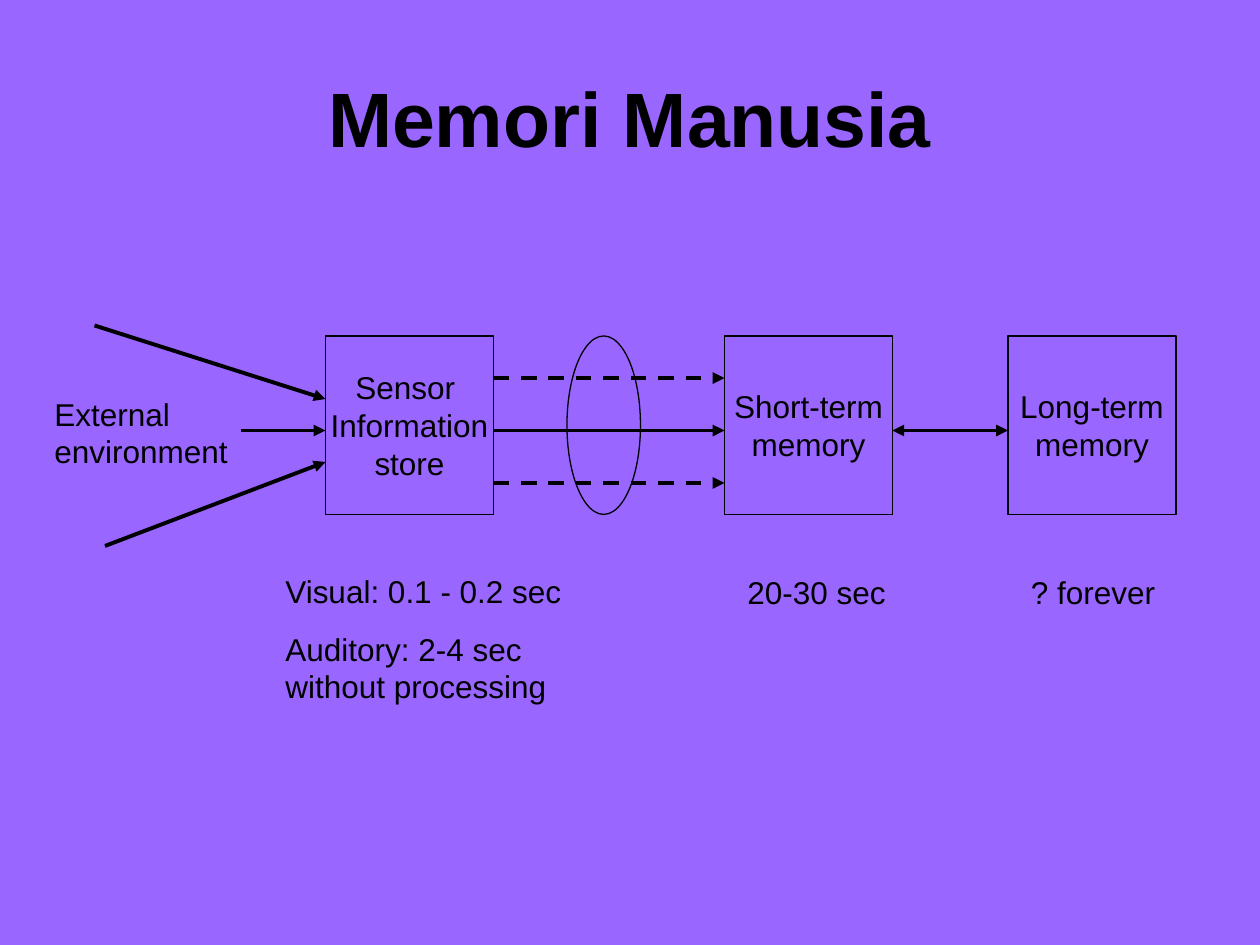
"""Build the human memory slide: three memory stores joined by arrows."""
from lxml.etree import SubElement
from pptx import Presentation
from pptx.dml.color import RGBColor
from pptx.enum.dml import MSO_LINE
from pptx.enum.shapes import MSO_CONNECTOR, MSO_SHAPE
from pptx.enum.text import MSO_ANCHOR, PP_ALIGN
from pptx.oxml.ns import qn
from pptx.util import Pt

BACKGROUND, INK = "9966FF", "000000"
TITLE = "Memori Manusia"
STORES = [
    (186, ["Sensor ", "Information", "store"]),
    (414, ["Short-term", "memory"]),
    (576, ["Long-term", "memory"]),
]
NOTES = [
    (24, 222, 114, 50, ["External environment"]),
    (156, 323.5, 174, 83.5, ["Visual: 0.1 - 0.2 sec", "Auditory: 2-4 sec without processing"]),
    (420, 324, 126, 29, ["20-30 sec"]),
    (582, 324, 102, 29, ["? forever"]),
]
STORE_TOP, STORE_WIDTH, STORE_HEIGHT = 192, 96, 102
FLOW_Y = 246
FILTER_LEFT, FILTER_WIDTH = 324, 42

sensor, short_term, long_term = (left for left, _ in STORES)
sensor_right, short_term_right = sensor + STORE_WIDTH, short_term + STORE_WIDTH
ARROWS = [
    ((54, 186), (sensor, 228), "solid", ["tail"]),
    ((138, FLOW_Y), (sensor, FLOW_Y), "solid", ["tail"]),
    ((60, 312), (sensor, 264), "solid", ["tail"]),
    ((sensor_right, FLOW_Y), (short_term, FLOW_Y), "solid", ["tail"]),
    ((sensor_right, FLOW_Y - 30), (short_term, FLOW_Y - 30), "dash", ["tail"]),
    ((sensor_right, FLOW_Y + 30), (short_term, FLOW_Y + 30), "dash", ["tail"]),
    ((short_term_right, FLOW_Y), (long_term, FLOW_Y), "solid", ["head", "tail"]),
]


def color(value):
    return RGBColor.from_string(value)


def write(frame, lines, size=18, bold=False, align=PP_ALIGN.LEFT,
          anchor=MSO_ANCHOR.TOP, before=0, wrap=True):
    frame.word_wrap = wrap
    frame.vertical_anchor = anchor
    for index, line in enumerate(lines):
        paragraph = frame.add_paragraph() if index else frame.paragraphs[0]
        paragraph.text = line
        paragraph.alignment = align
        paragraph.space_before = Pt(before)
        paragraph.font.name = "Arial"
        paragraph.font.size = Pt(size)
        paragraph.font.bold = bold
        paragraph.font.color.rgb = color(INK)


def add_outline(slide, preset, left, width):
    outline = slide.shapes.add_shape(
        preset, Pt(left), Pt(STORE_TOP), Pt(width), Pt(STORE_HEIGHT))
    outline.shadow.inherit = False
    outline.fill.background()
    outline.line.color.rgb = color(INK)
    outline.line.width = Pt(0.75)
    return outline


def add_text(slide, left, top, width, height, lines, **style):
    box = slide.shapes.add_textbox(Pt(left), Pt(top), Pt(width), Pt(height))
    write(box.text_frame, lines, **style)


def add_arrow(slide, start, end, dash, heads):
    arrow = slide.shapes.add_connector(
        MSO_CONNECTOR.STRAIGHT, *(Pt(value) for value in start + end))
    arrow.line.color.rgb = color(INK)
    arrow.line.width = Pt(2.25)
    if dash == "dash":
        arrow.line.dash_style = MSO_LINE.DASH
    properties = arrow.line._get_or_add_ln()
    for head in heads:
        SubElement(properties, qn(f"a:{head}End"), type="triangle")
    SubElement(arrow._element.spPr, qn("a:effectLst"))


def main():
    deck = Presentation()
    deck.slide_width, deck.slide_height = Pt(720), Pt(540)
    slide = deck.slides.add_slide(deck.slide_layouts[6])
    slide.background.fill.solid()
    slide.background.fill.fore_color.rgb = color(BACKGROUND)

    add_text(slide, 36, 21.6, 648, 90, [TITLE], size=44, bold=True,
             align=PP_ALIGN.CENTER, anchor=MSO_ANCHOR.MIDDLE)
    for left, lines in STORES:
        store = add_outline(slide, MSO_SHAPE.RECTANGLE, left, STORE_WIDTH)
        write(store.text_frame, lines, align=PP_ALIGN.CENTER,
              anchor=MSO_ANCHOR.MIDDLE, wrap=False)
    add_outline(slide, MSO_SHAPE.OVAL, FILTER_LEFT, FILTER_WIDTH)
    for arrow in ARROWS:
        add_arrow(slide, *arrow)
    for note in NOTES:
        add_text(slide, *note, before=11.2)
    deck.save("out.pptx")


if __name__ == "__main__":
    main()
